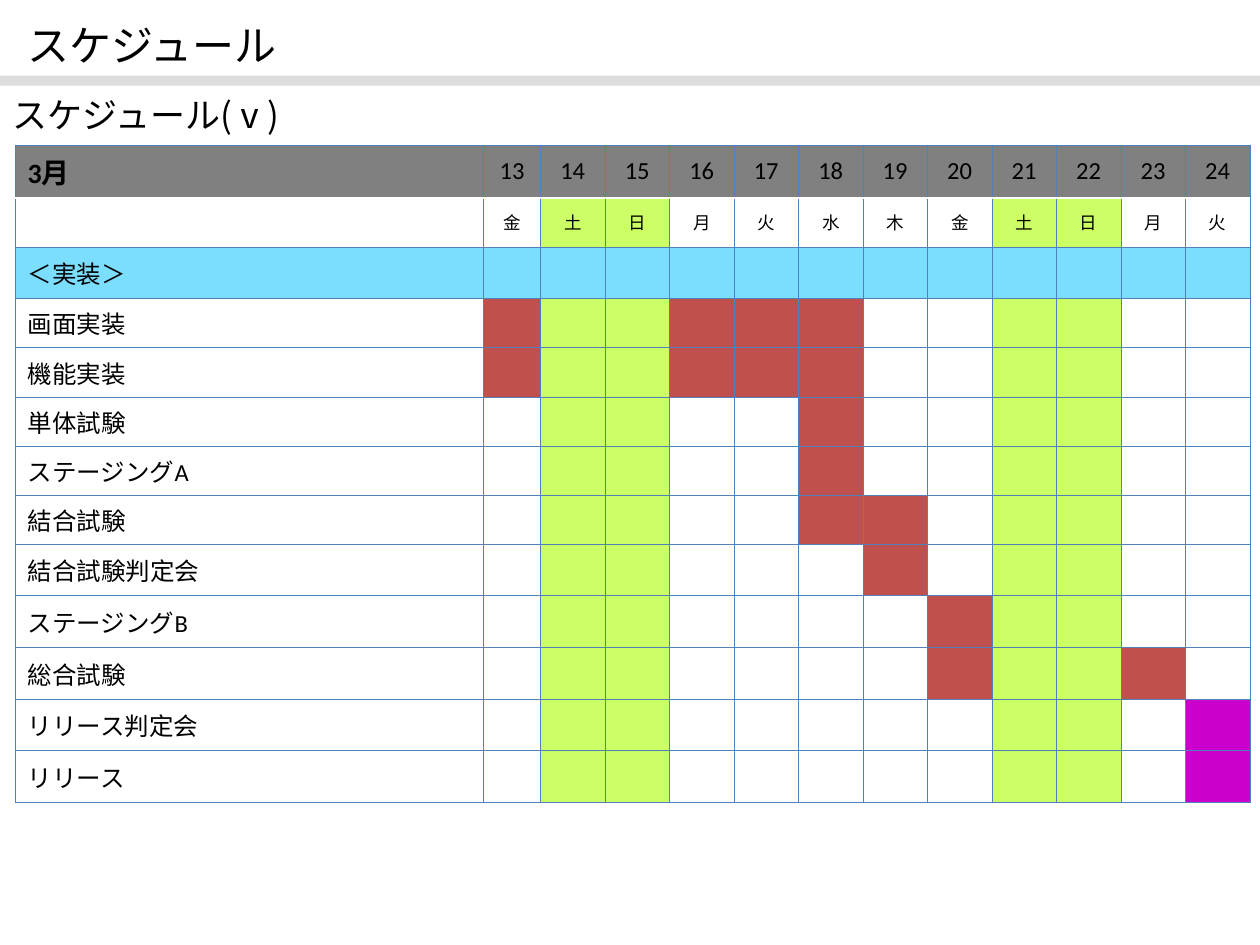
from collections import namedtuple

from lxml.etree import SubElement
from pptx import Presentation
from pptx.dml.color import RGBColor
from pptx.enum.shapes import MSO_SHAPE
from pptx.enum.text import MSO_ANCHOR, PP_ALIGN
from pptx.oxml.ns import qn
from pptx.util import Inches, Pt

Box = namedtuple("Box", "left top width height")

SLIDE_WIDTH, SLIDE_HEIGHT = 10, 7.5
JAPANESE_FONT = "Noto Sans CJK JP"
BLACK, WHITE, GRAY, RULE_GRAY = "000000", "FFFFFF", "808080", "DDDDDD"
GRID_BLUE, PHASE_BLUE = "4F81BD", "7BDEFF"
WEEKEND_GREEN, WORK_RED, RELEASE_PURPLE = "CCFF66", "C0504D", "CC00CC"

FIRST_DAY = 13
WEEKDAYS = "金土日月火水木金土日月火"
LABEL_WIDTH, FIRST_DAY_WIDTH = 3.72, 0.45
TALL_ROW, SHORT_ROW = 0.41, 0.39
PHASE = "＜実装＞"
TASKS = [
    ("画面実装", SHORT_ROW, WORK_RED, (13, 16, 17, 18)),
    ("機能実装", SHORT_ROW, WORK_RED, (13, 16, 17, 18)),
    ("単体試験", SHORT_ROW, WORK_RED, (18,)),
    ("ステージングA", SHORT_ROW, WORK_RED, (18,)),
    ("結合試験", SHORT_ROW, WORK_RED, (18, 19)),
    ("結合試験判定会", TALL_ROW, WORK_RED, (19,)),
    ("ステージングB", TALL_ROW, WORK_RED, (20,)),
    ("総合試験", TALL_ROW, WORK_RED, (20, 23)),
    ("リリース判定会", TALL_ROW, RELEASE_PURPLE, (24,)),
    ("リリース", TALL_ROW, RELEASE_PURPLE, (24,)),
]


def color(value):
    return RGBColor.from_string(value)


def place(box):
    return [Inches(length) for length in box]


def write_text(frame, text, size=14, font="Calibri", bold=False, align=PP_ALIGN.LEFT):
    paragraph = frame.paragraphs[0]
    paragraph.alignment = align
    run = paragraph.add_run()
    run.text = text
    run.font.size = Pt(size)
    run.font.bold = bold
    run.font.name = font
    run.font.color.rgb = color(BLACK)
    SubElement(run.font._element, qn("a:ea"), typeface=JAPANESE_FONT)


def add_heading(slide, box, text, size):
    shape = slide.shapes.add_textbox(*place(box))
    frame = shape.text_frame
    frame.word_wrap = True
    frame.vertical_anchor = MSO_ANCHOR.MIDDLE
    write_text(frame, text, size=size, font=JAPANESE_FONT)


def add_rule(slide, box):
    shape = slide.shapes.add_shape(MSO_SHAPE.RECTANGLE, *place(box))
    shape.shadow.inherit = False
    shape.fill.solid()
    shape.fill.fore_color.rgb = color(RULE_GRAY)
    shape.line.fill.background()


def add_border(cell, side, line_color=GRID_BLUE, width=0.45):
    line = SubElement(cell._tc.get_or_add_tcPr(), qn(f"a:ln{side}"), w=str(Pt(width)))
    fill = SubElement(line, qn("a:solidFill"))
    SubElement(fill, qn("a:srgbClr"), val=line_color)


def style_cell(cell, fill, row):
    thick = {"line_color": WHITE, "width": 1.47}
    add_border(cell, "L")
    add_border(cell, "R")
    add_border(cell, "T", **(thick if row == 1 else {}))
    add_border(cell, "B", **(thick if row == 0 else {}))
    cell.vertical_anchor = MSO_ANCHOR.MIDDLE
    if fill:
        cell.fill.solid()
        cell.fill.fore_color.rgb = color(fill)
    else:
        cell.fill.background()


def schedule_rows():
    days = range(FIRST_DAY, FIRST_DAY + len(WEEKDAYS))
    day_fills = [WEEKEND_GREEN if name in "土日" else WHITE for name in WEEKDAYS]
    blank = [""] * len(WEEKDAYS)
    yield TALL_ROW, ["3月", *map(str, days)], [GRAY] * (len(WEEKDAYS) + 1)
    yield SHORT_ROW, ["", *WEEKDAYS], [None, *day_fills]
    yield TALL_ROW, [PHASE, *blank], [PHASE_BLUE] * (len(WEEKDAYS) + 1)
    for label, height, mark, marked_days in TASKS:
        fills = [mark if day in marked_days else fill for day, fill in zip(days, day_fills)]
        yield height, [label, *blank], [None, *fills]


def text_format(row, column):
    if column == 0:
        return {"size": 16, "bold": True} if row == 0 else {}
    return {"size": 10 if row == 1 else 14, "align": PP_ALIGN.CENTER}


def add_schedule(slide, box):
    rows = list(schedule_rows())
    day_width = (box.width - LABEL_WIDTH - FIRST_DAY_WIDTH) / (len(WEEKDAYS) - 1)
    widths = [LABEL_WIDTH, FIRST_DAY_WIDTH] + [day_width] * (len(WEEKDAYS) - 1)
    table = slide.shapes.add_table(len(rows), len(widths), *place(box)).table
    table.first_row = table.horz_banding = False
    for column, width in zip(table.columns, widths):
        column.width = Inches(width)
    for row, (height, texts, fills) in enumerate(rows):
        table.rows[row].height = Inches(height)
        for column, (text, fill) in enumerate(zip(texts, fills)):
            cell = table.cell(row, column)
            style_cell(cell, fill, row)
            if text:
                write_text(cell.text_frame, text, **text_format(row, column))
            else:
                cell.margin_top = cell.margin_bottom = 0


def build_slide(presentation):
    slide = presentation.slides.add_slide(presentation.slide_layouts[6])
    add_schedule(slide, Box(0.12, 1.15, 0.98 * SLIDE_WIDTH, 5.21))
    add_heading(slide, Box(0.12, 0.05, 0.7 * SLIDE_WIDTH, 0.61), "スケジュール", 24)
    add_rule(slide, Box(0, 0.08 * SLIDE_HEIGHT, SLIDE_WIDTH, 0.08))
    add_heading(slide, Box(0, 0.68, 0.26 * SLIDE_WIDTH, 0.06 * SLIDE_HEIGHT), "スケジュール(ⅴ)", 20)


def main():
    presentation = Presentation()
    presentation.slide_width = Inches(SLIDE_WIDTH)
    presentation.slide_height = Inches(SLIDE_HEIGHT)
    build_slide(presentation)
    presentation.save("out.pptx")


if __name__ == "__main__":
    main()
